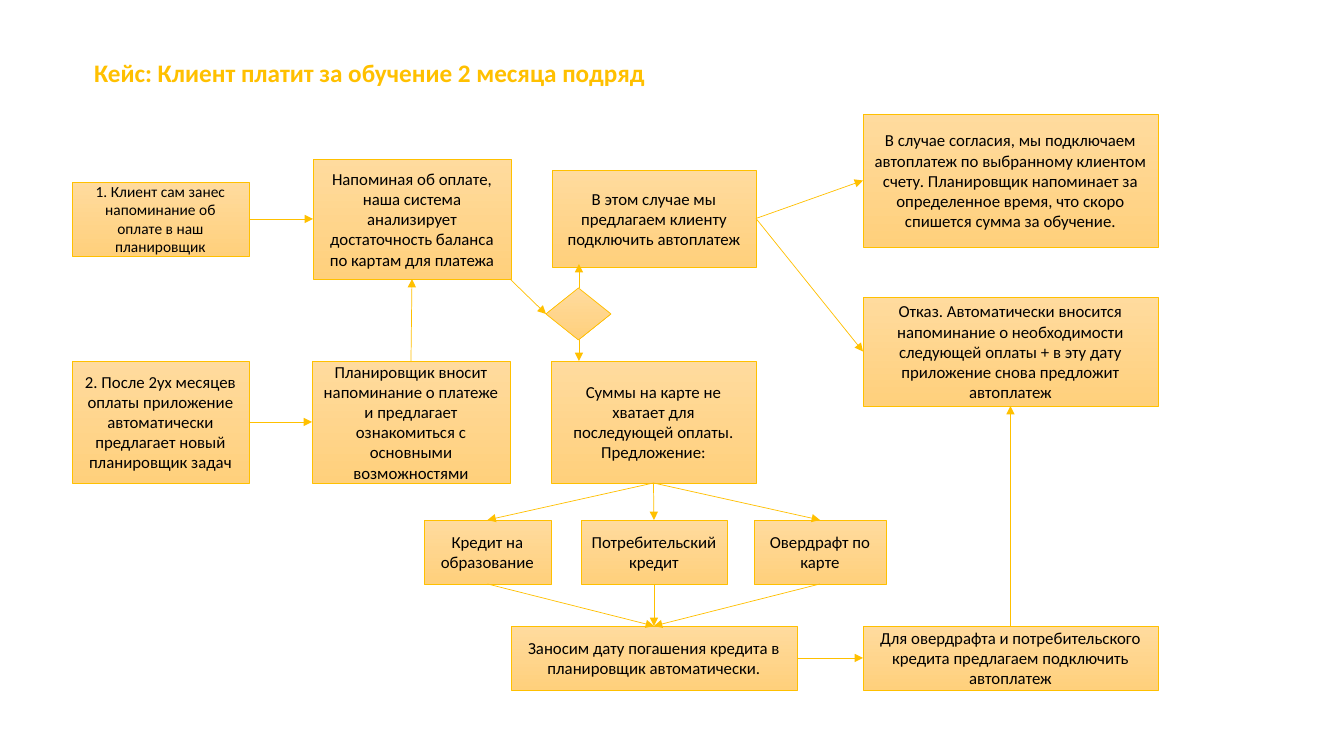
from lxml import etree
from pptx import Presentation
from pptx.dml.color import RGBColor
from pptx.enum.shapes import MSO_CONNECTOR, MSO_SHAPE
from pptx.enum.text import MSO_ANCHOR, PP_ALIGN
from pptx.oxml.ns import qn
from pptx.util import Pt

SCALE = 914400 / 100.8
RECTANGLE, DIAMOND = MSO_SHAPE.RECTANGLE, MSO_SHAPE.DIAMOND
STRAIGHT = MSO_CONNECTOR.STRAIGHT
LEFT, CENTER = PP_ALIGN.LEFT, PP_ALIGN.CENTER
TOP, MIDDLE = MSO_ANCHOR.TOP, MSO_ANCHOR.MIDDLE
TITLE_ONLY = 5
# Connection sites of a rectangle or diamond
SITE_TOP, SITE_LEFT, SITE_BOTTOM, SITE_RIGHT = range(4)


def emu(*pixels):
    return [round(value * SCALE) for value in pixels]


def color(hex_string):
    return RGBColor.from_string(hex_string)


def write(shape, text, size=12, ink="000000", bold=False, align=CENTER,
          anchor=MIDDLE, font="Calibri"):
    frame = shape.text_frame
    frame.word_wrap = True
    frame.vertical_anchor = anchor
    paragraph = frame.paragraphs[0]
    paragraph.alignment = align
    run = paragraph.add_run()
    run.text = text
    run.font.name = font
    run.font.size = Pt(size)
    run.font.bold = bold
    run.font.color.rgb = color(ink)


class Flowchart:
    accent = "FFC000"
    gradient = ("FFDB9E", "FFD07C")
    line_width = Pt(0.5)

    def __init__(self, slide):
        self.slide = slide

    def outline(self, shape):
        shape.line.color.rgb = color(self.accent)
        shape.line.width = self.line_width

    def title(self, text, *place):
        shape = self.slide.shapes.title
        shape.left, shape.top, shape.width, shape.height = emu(*place)
        write(shape, text, size=18, ink=self.accent, bold=True, align=LEFT, anchor=TOP)

    def box(self, text, *place, kind=RECTANGLE, size=12):
        shape = self.slide.shapes.add_shape(kind, *emu(*place))
        shape.shadow.inherit = False
        shape.fill.gradient()
        shape.fill.gradient_angle = 270
        for stop, shade in zip(shape.fill.gradient_stops, self.gradient):
            stop.color.rgb = color(shade)
        self.outline(shape)
        if text:
            write(shape, text, size=size)
        return shape

    def arrow(self, *ends):
        connector = self.slide.shapes.add_connector(STRAIGHT, *emu(*ends))
        self.outline(connector)
        etree.SubElement(connector.line._get_or_add_ln(), qn("a:tailEnd"), type="triangle")
        etree.SubElement(connector._element.spPr, qn("a:effectLst"))
        return connector

    def link(self, source, source_site, target, target_site):
        connector = self.arrow(0, 0, 0, 0)
        connector.begin_connect(source, source_site)
        connector.end_connect(target, target_site)


presentation = Presentation()
presentation.slide_width, presentation.slide_height = emu(1344, 756)
slide = presentation.slides.add_slide(presentation.slide_layouts[TITLE_ONLY])
chart = Flowchart(slide)
chart.title("Кейс: Клиент платит за обучение 2 месяца подряд", 84, 52, 789, 40)

# Shared rows and columns
MIDDLE_ROW, MIDDLE_HEIGHT = 361, 122
CREDIT_ROW, LAST_ROW, LOW_HEIGHT = 520, 626, 64
START_X, START_WIDTH = 72, 177
OUTCOME_X, OUTCOME_WIDTH = 863, 295

# Reminders and balance check
own_reminder = chart.box("1. Клиент сам занес напоминание об оплате в наш планировщик",
                         START_X, 182, START_WIDTH, 74, size=11)
new_planner = chart.box(
    "2. После 2ух месяцев оплаты приложение автоматически предлагает новый планировщик задач",
    START_X, MIDDLE_ROW, START_WIDTH, MIDDLE_HEIGHT)
balance = chart.box(
    "Напоминая об оплате, наша система анализирует достаточность баланса по картам для платежа",
    313, 159, 198, 120)
planner = chart.box(
    "Планировщик вносит напоминание о платеже и предлагает ознакомиться с основными возможностями",
    312, MIDDLE_ROW, 198, MIDDLE_HEIGHT)

# Decision and its two branches
autopay = chart.box("В этом случае мы предлагаем клиенту подключить автоплатеж",
                    552, 170, 204, 97)
shortage = chart.box("Суммы на карте не хватает для последующей оплаты. Предложение:",
                     551, MIDDLE_ROW, 205, MIDDLE_HEIGHT)
decision = chart.box("", 546, 288, 65, 52, kind=DIAMOND)

# Credit offers
credits = [chart.box(text, x, CREDIT_ROW, width, LOW_HEIGHT) for text, x, width in (
    ("Кредит на образование", 424, 127),
    ("Потребительский кредит", 581, 146),
    ("Овердрафт по карте", 754, 132),
)]
repayment = chart.box("Заносим дату погашения кредита в планировщик автоматически.",
                      511, LAST_ROW, 286, LOW_HEIGHT)

# Outcomes
consent = chart.box(
    "В случае согласия, мы подключаем автоплатеж по выбранному клиентом счету. "
    "Планировщик напоминает за определенное время, что скоро спишется сумма за обучение.",
    OUTCOME_X, 114, OUTCOME_WIDTH, 133)
refusal = chart.box(
    "Отказ. Автоматически вносится напоминание о необходимости следующей оплаты "
    "+ в эту дату приложение снова предложит автоплатеж",
    OUTCOME_X, 297, OUTCOME_WIDTH, 109)
offer = chart.box("Для овердрафта и потребительского кредита предлагаем подключить автоплатеж",
                  OUTCOME_X, LAST_ROW, OUTCOME_WIDTH, LOW_HEIGHT)

# Arrows between boxes
for source, target in ((own_reminder, balance), (new_planner, planner), (autopay, consent),
                       (autopay, refusal), (repayment, offer)):
    chart.link(source, SITE_RIGHT, target, SITE_LEFT)
for source, target in ((planner, balance), (offer, refusal)):
    chart.link(source, SITE_TOP, target, SITE_BOTTOM)
for credit in credits:
    chart.link(shortage, SITE_BOTTOM, credit, SITE_TOP)
    chart.link(credit, SITE_BOTTOM, repayment, SITE_TOP)

# Arrows around the decision
chart.arrow(510, 279, 546, 314)
chart.arrow(579, 288, 579, 264)
chart.arrow(579, 340, 579, MIDDLE_ROW)

presentation.save("out.pptx")
